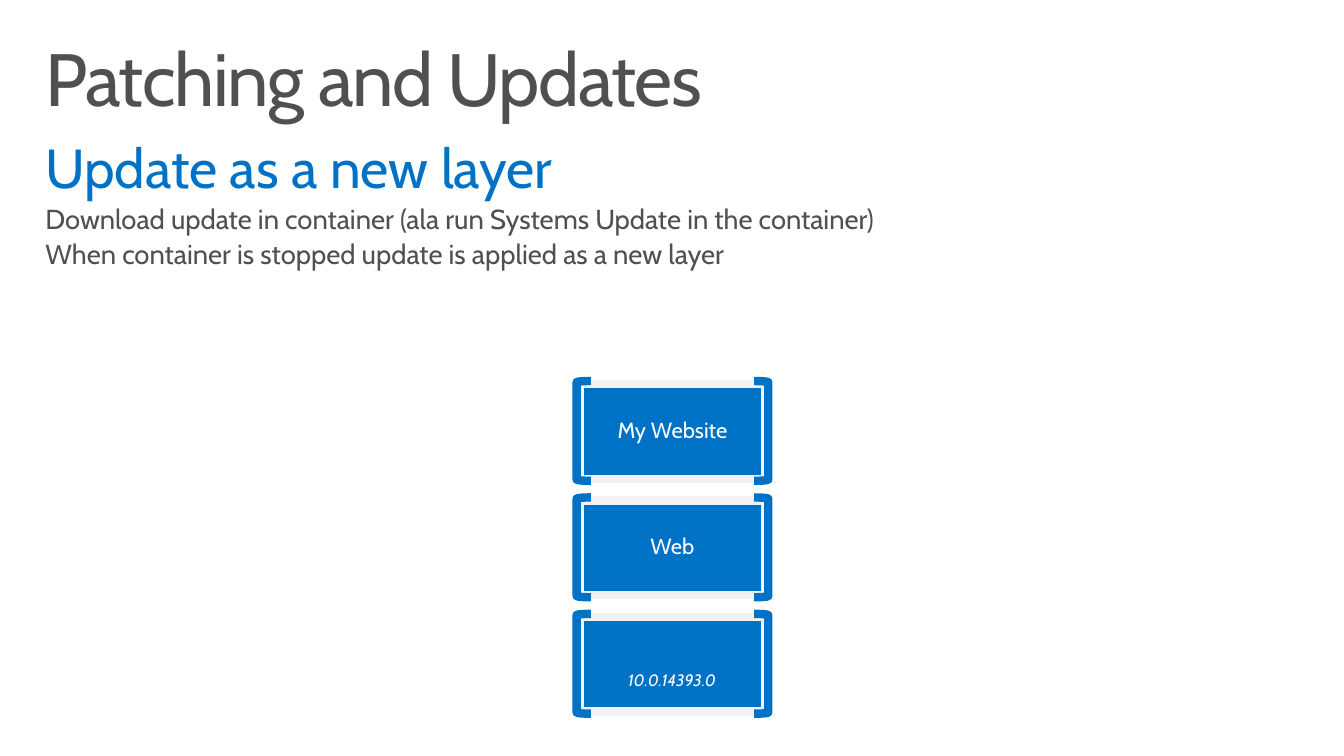
from pptx import Presentation
from pptx.dml.color import RGBColor
from pptx.enum.shapes import MSO_SHAPE
from pptx.enum.text import MSO_ANCHOR, MSO_AUTO_SIZE, PP_ALIGN
from pptx.oxml.ns import qn
from pptx.util import Inches, Pt

# Content
TITLE = "Patching and Updates"
HEADING = "Update as a new layer"
DETAILS = [
    "Download update in container (ala run Systems Update in the container)",
    "When container is stopped update is applied as a new layer",
]
LAYERS = ["My Website", "Web", ""]  # top to bottom
VERSION = "10.0.14393.0"  # sits low on the bottom layer

# Style
FONT = "Cabin"
BLUE = RGBColor(0x00, 0x72, 0xC6)
GRAY = RGBColor(0x50, 0x50, 0x50)
PALE = RGBColor(0xF2, 0xF2, 0xF2)
WHITE = RGBColor(0xFF, 0xFF, 0xFF)
RECT = MSO_SHAPE.RECTANGLE
LEFT_BRACKET, RIGHT_BRACKET = MSO_SHAPE.LEFT_BRACKET, MSO_SHAPE.RIGHT_BRACKET
TOP, MIDDLE = MSO_ANCHOR.TOP, MSO_ANCHOR.MIDDLE
LEFT, CENTER = PP_ALIGN.LEFT, PP_ALIGN.CENTER
NO_AUTOFIT = MSO_AUTO_SIZE.NONE

# Layer stack geometry, in inches
STACK_LEFT, STACK_TOP, PITCH = 5.75, 3.81, 1.155
LAYER_W, LAYER_H = 1.84, 0.94
BRACKET_W, OVERHANG = 0.14, 0.03


def set_frame(frame, side, end, anchor):
    frame.word_wrap = True
    frame.auto_size = NO_AUTOFIT
    frame.margin_left = frame.margin_right = Inches(side)
    frame.margin_top = frame.margin_bottom = Inches(end)
    frame.vertical_anchor = anchor


def style(paragraph, size, color, align):
    paragraph.alignment = align
    paragraph.line_spacing = 0.9
    paragraph.font.name = FONT
    paragraph.font.size = Pt(size)
    paragraph.font.color.rgb = color


def place(shape, left, top, width, height):
    shape.left, shape.top = Inches(left), Inches(top)
    shape.width, shape.height = Inches(width), Inches(height)


def add_part(group, kind, left, top, width, height, line_color):
    part = group.shapes.add_shape(
        kind, Inches(left), Inches(top), Inches(width), Inches(height))
    part.shadow.inherit = False
    part.line.color.rgb = line_color
    part.line.width = Pt(6)
    return part


def add_layer(slide, label, top):
    group = slide.shapes.add_group_shape()
    block = add_part(group, RECT, STACK_LEFT, top, LAYER_W, LAYER_H, PALE)
    block.fill.solid()
    block.fill.fore_color.rgb = BLUE
    if label:
        set_frame(block.text_frame, 0.2, 0.16, MIDDLE)
        block.text_frame.text = label
        style(block.text_frame.paragraphs[0], 15.7, WHITE, CENTER)
    right = STACK_LEFT + LAYER_W + OVERHANG - BRACKET_W
    for kind, left in ((RIGHT_BRACKET, right),
                       (LEFT_BRACKET, STACK_LEFT - OVERHANG)):
        bracket = add_part(group, kind, left, top - OVERHANG, BRACKET_W,
                           LAYER_H + 2 * OVERHANG - 0.01, BLUE)
        bracket.fill.background()
    return group


def main():
    prs = Presentation()
    prs.slide_width, prs.slide_height = Inches(13.33), Inches(7.5)
    slide = prs.slides.add_slide(prs.slide_layouts[1])

    # Title
    title = slide.shapes.title
    place(title, 0.29, 0.32, 12.75, 0.98)
    set_frame(title.text_frame, 0.16, 0.1, TOP)
    title.text_frame.text = TITLE
    heading = title.text_frame.paragraphs[0]
    style(heading, 52.9, GRAY, LEFT)
    heading._p.pPr.find(qn("a:defRPr")).set("spc", "-100")

    # Heading and details
    body = slide.placeholders[1]
    place(body, 0.29, 1.3, 12.74, 1.52)
    set_frame(body.text_frame, 0.16, 0.1, TOP)
    body.text_frame.text = "\n".join([HEADING] + DETAILS)
    for i, paragraph in enumerate(body.text_frame.paragraphs):
        paragraph.level = 1 if i else 0
        properties = paragraph._p.get_or_add_pPr()
        properties.set("marL", "0")
        properties.set("indent", "0")
        properties.append(properties.makeelement(qn("a:buNone"), {}))
        size, color = (19.6, GRAY) if i else (39.2, BLUE)
        style(paragraph, size, color, LEFT)
        paragraph.space_before = Pt(4 if i else 0)

    # Layers, from the base upwards
    for i, label in reversed(list(enumerate(LAYERS))):
        group = add_layer(slide, label, STACK_TOP + i * PITCH)
        if not label:
            version = group.shapes.add_textbox(
                Inches(5.79), Inches(6.51), Inches(1.75), Inches(0.49))
            set_frame(version.text_frame, 0.2, 0.16, TOP)
            version.text_frame.text = VERSION
            line = version.text_frame.paragraphs[0]
            style(line, 11.8, WHITE, CENTER)
            line.font.italic = True

    prs.save("out.pptx")


if __name__ == "__main__":
    main()
